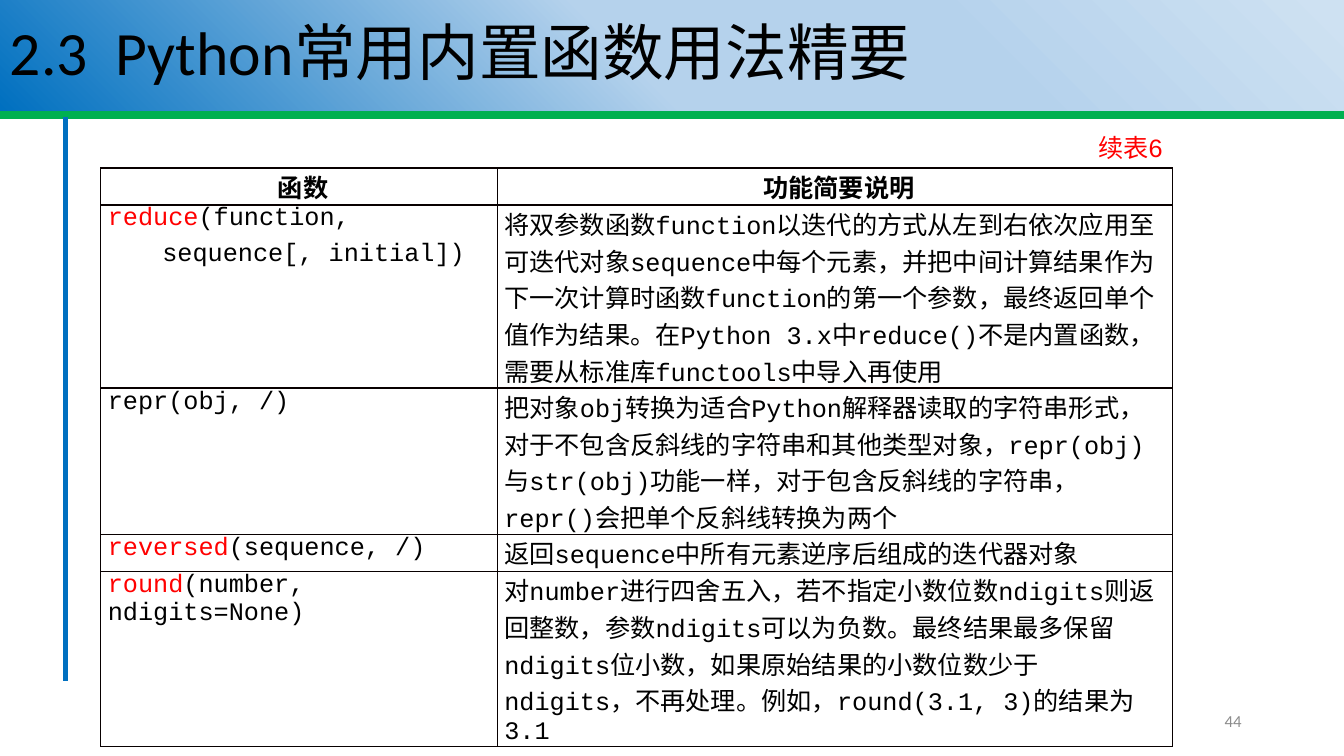
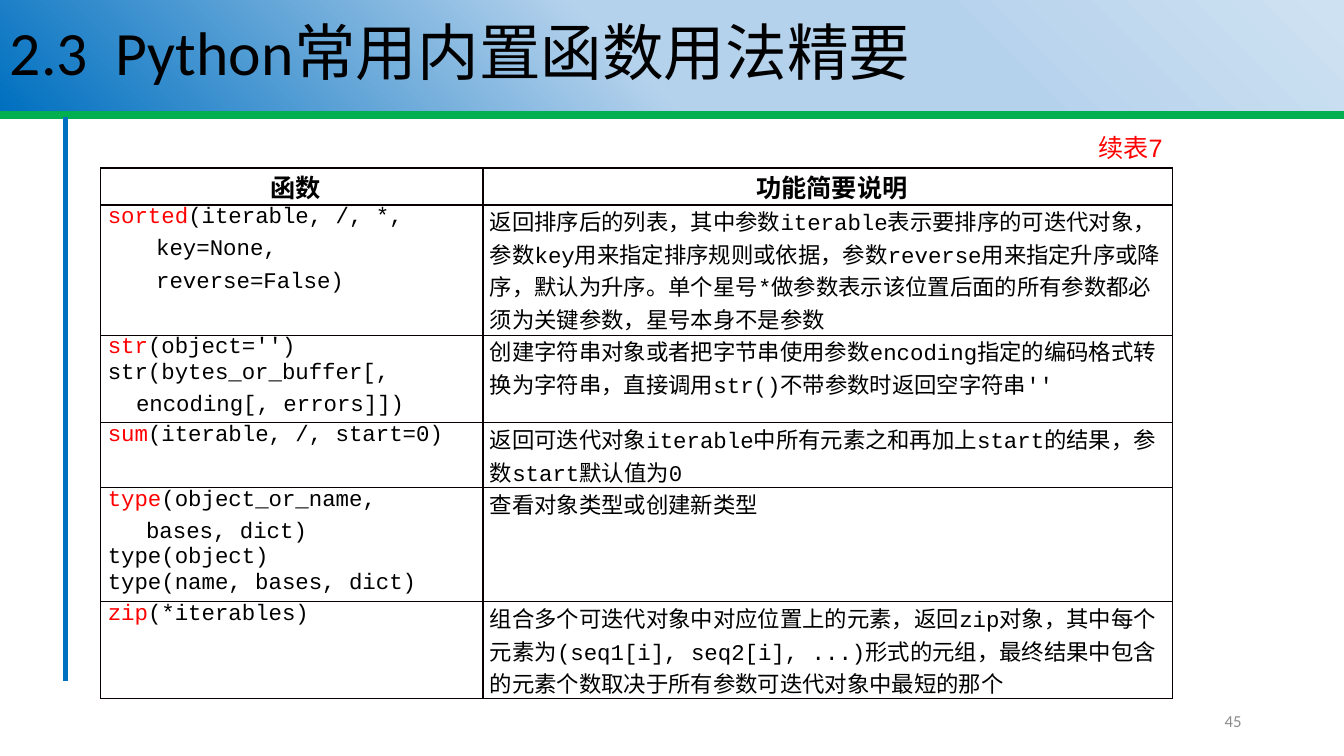
from lxml.etree import SubElement
from pptx import Presentation
from pptx.dml.color import RGBColor
from pptx.enum.lang import MSO_LANGUAGE_ID
from pptx.enum.shapes import MSO_CONNECTOR, MSO_SHAPE
from pptx.enum.text import MSO_ANCHOR, PP_ALIGN
from pptx.oxml import parse_xml
from pptx.oxml.ns import nsdecls, qn
from pptx.util import Inches, Pt

COLORS = {
    "black": "000000", "red": "FF0000", "gray": "8C8C8C", "border": "080000",
    "green": "00B050", "blue": "0070C0", "sky": "B5D2EC", "pale": "CEE1F2",
}
CHINESE_FONT = "Noto Sans CJK SC"
TITLE = "2.3  Python常用内置函数用法精要"
HEADINGS = ["函数", "功能简要说明"]
BAND_STOPS = [(1, "pale"), (29, "sky"), (53, "sky"), (100, "blue")]

PAGES = [
    {
        "number": "44", "caption": "续表6", "size": 18, "split": 47.2,
        "heights": [4.4, 21.8, 17.4, 4.4, 20.9],
        "entries": [
            ([("reduce", "(function,", 0), ("", "sequence[, initial])", 0.54)],
             "将双参数函数function以迭代的方式从左到右依次应用至可迭代对象sequence中每个元素，"
             "并把中间计算结果作为下一次计算时函数function的第一个参数，最终返回单个值作为结果。"
             "在Python 3.x中reduce()不是内置函数，需要从标准库functools中导入再使用"),
            ([("", "repr(obj, /)", 0)],
             "把对象obj转换为适合Python解释器读取的字符串形式，对于不包含反斜线的字符串和其他类型对象，"
             "repr(obj)与str(obj)功能一样，对于包含反斜线的字符串，repr()会把单个反斜线转换为两个"),
            ([("reversed", "(sequence, /)", 0)],
             "返回sequence中所有元素逆序后组成的迭代器对象"),
            ([("round", "(number, ndigits=None)", 0)],
             "对number进行四舍五入，若不指定小数位数ndigits则返回整数，参数ndigits可以为负数。"
             "最终结果最多保留ndigits位小数，如果原始结果的小数位数少于ndigits，不再处理。"
             "例如，round(3.1, 3)的结果为3.1"),
        ],
    },
    {
        "number": "45", "caption": "续表7", "size": 16, "split": 45.5,
        "heights": [4.4, 15.5, 10.2, 7.7, 13, 11.5],
        "entries": [
            ([("sorted", "(iterable, /, *,", 0), ("", "key=None,", 0.48),
              ("", "reverse=False)", 0.48)],
             "返回排序后的列表，其中参数iterable表示要排序的可迭代对象，参数key用来指定排序规则或依据，"
             "参数reverse用来指定升序或降序，默认为升序。单个星号*做参数表示该位置后面的所有参数都必须为关键参数，"
             "星号本身不是参数"),
            ([("str", "(object='')", 0), ("", "str(bytes_or_buffer[,", 0),
              ("", "encoding[, errors]])", 0.28)],
             "创建字符串对象或者把字节串使用参数encoding指定的编码格式转换为字符串，"
             "直接调用str()不带参数时返回空字符串''"),
            ([("sum", "(iterable, /, start=0)", 0)],
             "返回可迭代对象iterable中所有元素之和再加上start的结果，参数start默认值为0"),
            ([("type", "(object_or_name,", 0), ("", "bases, dict)", 0.38),
              ("", "type(object)", 0), ("", "type(name, bases, dict)", 0)],
             "查看对象类型或创建新类型"),
            ([("zip", "(*iterables)", 0)],
             "组合多个可迭代对象中对应位置上的元素，返回zip对象，其中每个元素为(seq1[i], seq2[i], ...)形式的元组，"
             "最终结果中包含的元素个数取决于所有参数可迭代对象中最短的那个"),
        ],
    },
]


def add_run(paragraph, text, size, font_name, color, bold=False):
    run = paragraph.add_run()
    run.text = text
    run.font.size = Pt(size)
    run.font.name = font_name
    run.font.bold = bold
    run.font.color.rgb = RGBColor.from_string(COLORS[color])
    run.font.language_id = MSO_LANGUAGE_ID.SIMPLIFIED_CHINESE
    SubElement(run.font._element, qn("a:ea"), typeface=CHINESE_FONT)


def style_cell(cell, left, right):
    cell.margin_left, cell.margin_right = Inches(left), Inches(right)
    cell.margin_top = cell.margin_bottom = 0
    properties = cell._tc.get_or_add_tcPr()
    for side in "LRTB":
        properties.append(parse_xml(
            f'<a:ln{side} {nsdecls("a")} w="{Pt(1)}"><a:solidFill>'
            f'<a:srgbClr val="{COLORS["border"]}"/></a:solidFill></a:ln{side}>'))
    cell.fill.background()


presentation = Presentation()
presentation.slide_width = Inches(13.33)
presentation.slide_height = Inches(7.5)
column = presentation.slide_width / 160
row = presentation.slide_height / 90
table_left, table_top, table_width = 12, 20, 127.6

for page in PAGES:
    slide = presentation.slides.add_slide(presentation.slide_layouts[6])

    for start_x, start_y, end_x, end_y, color, width in [
        (0, 13.7, 160, 13.7, "green", 5.25),
        (7.8, 13.9, 7.8, 81.1, "blue", 3.75),
    ]:
        line = slide.shapes.add_connector(
            MSO_CONNECTOR.STRAIGHT, int(start_x * column), int(start_y * row),
            int(end_x * column), int(end_y * row))
        line.line.color.rgb = RGBColor.from_string(COLORS[color])
        line.line.width = Pt(width)
        SubElement(line._element.spPr, qn("a:effectLst"))

    band = slide.shapes.add_shape(
        MSO_SHAPE.RECTANGLE, 0, 0, presentation.slide_width, int(13.2 * row))
    band.shadow.inherit = False
    band.line.fill.background()
    stops = "".join(
        f'<a:gs pos="{position * 1000}"><a:srgbClr val="{COLORS[color]}"/></a:gs>'
        for position, color in BAND_STOPS)
    band._element.spPr.find(qn("a:prstGeom")).addnext(parse_xml(
        f'<a:gradFill {nsdecls("a")}><a:gsLst>{stops}</a:gsLst>'
        f'<a:lin ang="{135 * 60000}" scaled="0"/></a:gradFill>'))
    band.text_frame.vertical_anchor = MSO_ANCHOR.MIDDLE
    paragraph = band.text_frame.paragraphs[0]
    paragraph.alignment = PP_ALIGN.LEFT
    paragraph.line_spacing = 0.9
    add_run(paragraph, TITLE, 44, "Calibri", "black")

    for text, left, top, width, size, font_name, color in [
        (page["number"], 113, 83.4, 36, 12, "Calibri", "gray"),
        (page["caption"], 122.3, 15.2, 17.3, 18, "Arial", "red"),
    ]:
        label = slide.shapes.add_textbox(
            int(left * column), int(top * row), int(width * column), int(4.8 * row))
        label.text_frame.word_wrap = True
        label.text_frame.vertical_anchor = MSO_ANCHOR.MIDDLE
        paragraph = label.text_frame.paragraphs[0]
        paragraph.alignment = PP_ALIGN.RIGHT
        add_run(paragraph, text, size, font_name, color)

    heights = page["heights"]
    table = slide.shapes.add_table(
        len(heights), 2, int(table_left * column), int(table_top * row),
        int(table_width * column), int(sum(heights) * row)).table
    table.first_row = table.horz_banding = False
    table.columns[0].width = int(page["split"] * column)
    table.columns[1].width = int((table_width - page["split"]) * column)
    for table_row, height in zip(table.rows, heights):
        table_row.height = int(height * row)

    for cell, heading in zip(table.rows[0].cells, HEADINGS):
        style_cell(cell, 0.08, 0)
        paragraph = cell.text_frame.paragraphs[0]
        paragraph.alignment = PP_ALIGN.CENTER
        add_run(paragraph, heading, 18, CHINESE_FONT, "black", True)

    for index, (signature, description) in enumerate(page["entries"], 1):
        signature_cell, description_cell = table.rows[index].cells
        style_cell(signature_cell, 0.07, 0.07)
        style_cell(description_cell, 0.07, 0.07)
        for position, (name, arguments, indent) in enumerate(signature):
            frame = signature_cell.text_frame
            paragraph = frame.add_paragraph() if position else frame.paragraphs[0]
            if indent:
                paragraph.space_before = Pt(5)
                paragraph._p.get_or_add_pPr().set("marL", str(Inches(indent)))
            if name:
                add_run(paragraph, name, page["size"], "Courier New", "red")
            add_run(paragraph, arguments, page["size"], "Courier New", "black")
        add_run(description_cell.text_frame.paragraphs[0], description,
                page["size"], "Courier New", "black")

presentation.save("out.pptx")
